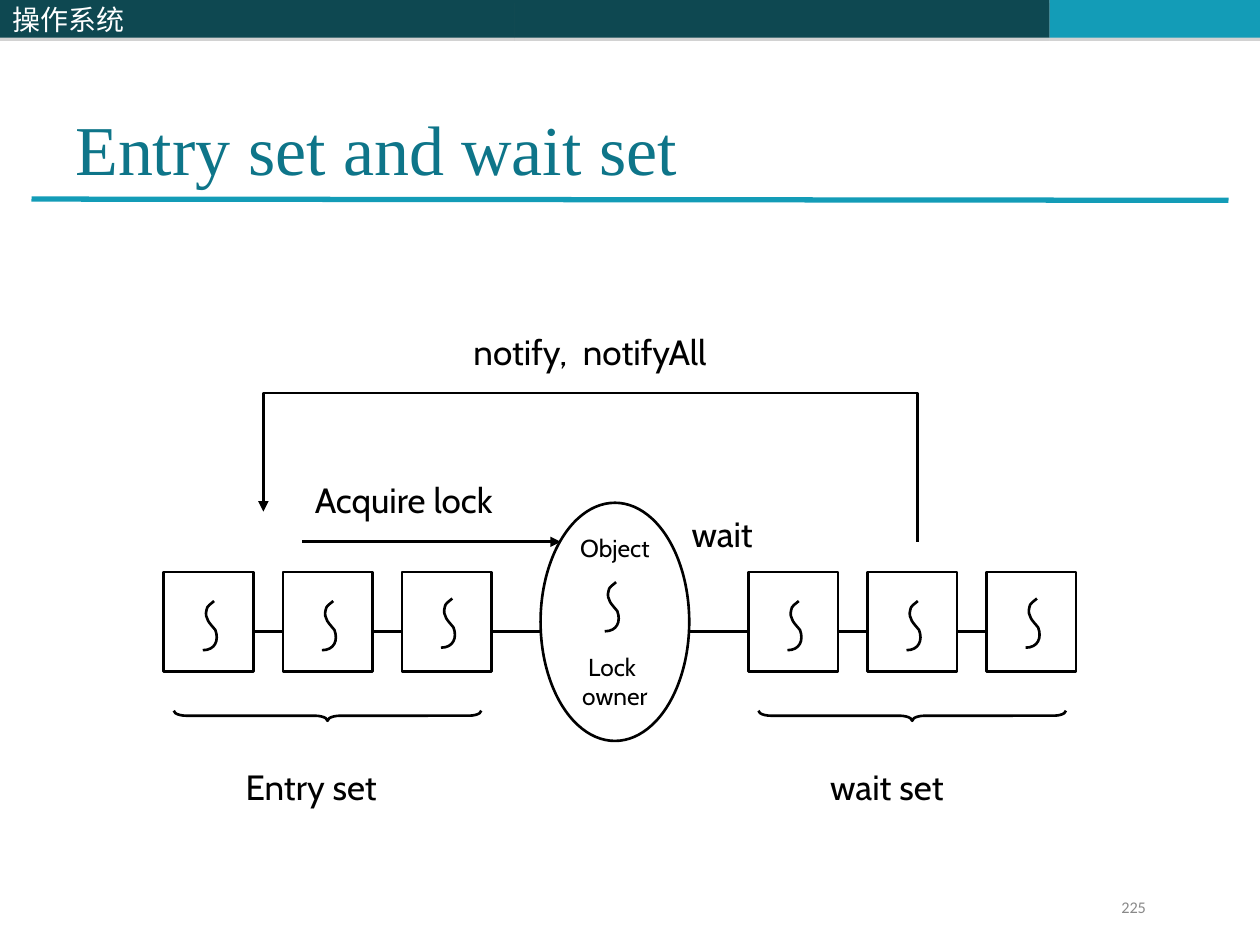
from lxml import etree
from pptx import Presentation
from pptx.dml.color import RGBColor
from pptx.enum.shapes import MSO_CONNECTOR, MSO_SHAPE
from pptx.enum.text import MSO_ANCHOR, PP_ALIGN
from pptx.oxml.ns import qn
from pptx.util import Emu, Inches, Pt

RECT, OVAL, BRACE = MSO_SHAPE.RECTANGLE, MSO_SHAPE.OVAL, MSO_SHAPE.LEFT_BRACE
STRAIGHT = MSO_CONNECTOR.STRAIGHT
TOP, MIDDLE, BOTTOM = MSO_ANCHOR.TOP, MSO_ANCHOR.MIDDLE, MSO_ANCHOR.BOTTOM
LEFT, CENTER = PP_ALIGN.LEFT, PP_ALIGN.CENTER

BLACK = RGBColor(0, 0, 0)
WHITE = RGBColor(0xFF, 0xFF, 0xFF)
DARK_TEAL = RGBColor(0x0E, 0x48, 0x51)
BRIGHT_TEAL = RGBColor(0x13, 0x9C, 0xB7)
TITLE_TEAL = RGBColor(0x0E, 0x75, 0x89)
PAGE_GREY = RGBColor(0x89, 0x89, 0x89)

# Content: lengths in inches
COURSE = "操作系统"
TITLE = "Entry set and wait set"
PAGE = "225"
OWNER_LINES = [("Object", 0), ("Lock ", 51), ("owner", 0)]  # text, points before
THREAD_SETS = [("Entry set", 1.3), ("wait set", 5.94)]      # label, left edge
ACTIONS = [
    ("wait", 5.39, 4.02, 0.87),
    ("Acquire lock", 2.4, 3.75, 2.2),
    ("notify,  notifyAll", 3.66, 2.57, 2.6),
]
HEADER = [(4.08, 4.25, DARK_TEAL), (8.33, 1.67, BRIGHT_TEAL), (0, 4.08, DARK_TEAL)]
NOTIFY_PATH = [(7.28, 4.3), (7.28, 3.12), (2.09, 3.12), (2.09, 4.06)]

# Thread mark: start point, then three points for each cubic curve
THREAD_PATH = [
    (0.09, 0),
    (0.07, 0.02), (0.03, 0.04), (0.03, 0.07),
    (0.01, 0.14), (0.06, 0.18), (0.1, 0.23),
    (0.13, 0.31), (0.1, 0.39), (0, 0.39),
]

# Grid of each thread set
BOX_COUNT, BOX_W, BOX_H, BOX_TOP = 3, 0.71, 0.79, 4.54
BOX_PITCH = (3.19 - 1.3) / (BOX_COUNT - 1)
SET_W = BOX_PITCH * (BOX_COUNT - 1) + BOX_W
LINK_Y = 5.01
BRACE_LENGTH, BRACE_DEPTH, BRACE_Y = 2.44, 0.08, 5.68
OWNER_LEFT, OWNER_TOP, OWNER_W, OWNER_H = 4.29, 3.99, 1.18, 1.89

prs = Presentation()
prs.slide_width, prs.slide_height = Inches(10), Inches(7.5)
slide = prs.slides.add_slide(prs.slide_layouts[6])
shapes = slide.shapes


def add_run(paragraph, text, size, font_name, color):
    run = paragraph.add_run()
    run.text = text
    run.font.size, run.font.name = Pt(size), font_name
    run.font.color.rgb = color
    east_asian = etree.SubElement(run.font._element, qn("a:ea"))
    east_asian.set("typeface", font_name)


def set_frame(frame, anchor, wrap=True):
    frame.word_wrap, frame.vertical_anchor = wrap, anchor
    return frame


def add_label(text, x, y, w, h=0.44, size=20, font_name="Cabin", color=BLACK, anchor=TOP):
    frame = set_frame(shapes.add_textbox(Inches(x), Inches(y), Inches(w), Inches(h)).text_frame, anchor)
    add_run(frame.paragraphs[0], text, size, font_name, color)
    return frame


def add_block(preset, x, y, w, h, fill=WHITE, outline=BLACK):
    block = shapes.add_shape(preset, Inches(x), Inches(y), Inches(w), Inches(h))
    block.shadow.inherit = False
    if fill is None:
        block.fill.background()
    else:
        block.fill.solid()
        block.fill.fore_color.rgb = fill
    if outline is None:
        block.line.fill.background()
    else:
        block.line.color.rgb, block.line.width = outline, Pt(1.5)
    return block


def add_arrowhead(shape):
    etree.SubElement(shape.line._get_or_add_ln(), qn("a:tailEnd")).set("type", "triangle")


def add_line(x1, y1, x2, y2, color=BLACK, width=1.5):
    line = shapes.add_connector(STRAIGHT, Inches(x1), Inches(y1), Inches(x2), Inches(y2))
    line.line.color.rgb, line.line.width = color, Pt(width)
    etree.SubElement(line._element.spPr, qn("a:effectLst"))
    return line


def add_open_path(points):
    (start_x, start_y), *rest = [(Inches(x), Inches(y)) for x, y in points]
    builder = shapes.build_freeform(start_x, start_y)
    builder.add_line_segments(rest, close=False)
    outline = builder.convert_to_shape(Emu(0), Emu(0))
    outline.shadow.inherit = False
    outline.fill.background()
    outline.line.color.rgb, outline.line.width = BLACK, Pt(1.5)
    return outline


def add_thread(x, y):
    thread = add_open_path([(x + px, y + py) for px, py in THREAD_PATH])
    # Join every three segments into one cubic curve
    segments = list(thread._element.iter(qn("a:lnTo")))
    outline_path = segments[0].getparent()
    for first in range(0, len(segments), 3):
        curve = etree.SubElement(outline_path, qn("a:cubicBezTo"))
        for segment in segments[first:first + 3]:
            curve.append(segment[0])
            outline_path.remove(segment)


# Header strip with a thin shadow below
for left, width, color in HEADER:
    strip = add_block(RECT, left, 0, width, 0.3, color, None)
    effects = strip._element.spPr.find(qn("a:effectLst"))
    shadow = etree.SubElement(effects, qn("a:outerShdw"), dist=str(Pt(1.8)), dir="5400000")
    shade = etree.SubElement(shadow, qn("a:srgbClr"), val="808080")
    etree.SubElement(shade, qn("a:alpha"), val="35000")
course_frame = set_frame(strip.text_frame, MIDDLE)
course_frame.paragraphs[0].alignment = LEFT
add_run(course_frame.paragraphs[0], COURSE, 16, "Noto Sans CJK SC", WHITE)

# Title and rule
add_line(0.25, 1.58, 9.75, 1.59, BRIGHT_TEAL, 3)
add_label(TITLE, 0.5, 0.3, 9, 1.25, 40, "Times New Roman", TITLE_TEAL, BOTTOM)

# Lock owner
owner = add_block(OVAL, OWNER_LEFT, OWNER_TOP, OWNER_W, OWNER_H)
owner_frame = set_frame(owner.text_frame, MIDDLE, wrap=False)
for index, (text, gap) in enumerate(OWNER_LINES):
    paragraph = owner_frame.add_paragraph() if index else owner_frame.paragraphs[0]
    paragraph.alignment = CENTER
    if gap:
        paragraph.space_before = Pt(gap)
    add_run(paragraph, text, 14, "Cabin", BLACK)
add_thread(4.8, 4.62)

# Thread sets: linked boxes, brace and label
for label, set_left in THREAD_SETS:
    for index in range(BOX_COUNT):
        box_left = set_left + index * BOX_PITCH
        last = index == BOX_COUNT - 1
        add_block(RECT, box_left, BOX_TOP, BOX_W, BOX_H)
        add_thread(box_left + 0.31, 4.75 if last else 4.77)
        if not last:
            add_line(box_left + BOX_W, LINK_Y, box_left + BOX_PITCH, LINK_Y)
    brace_center = set_left + 1.3
    brace = add_block(BRACE, brace_center - BRACE_DEPTH / 2, BRACE_Y - BRACE_LENGTH / 2,
                      BRACE_DEPTH, BRACE_LENGTH, None)
    brace.rotation = 270
    brace.adjustments[0] = 1.25
    add_label(label, set_left + 0.55, 6.03, 1.49)

# Links from the sets to the owner
entry_left, wait_left = (left for _, left in THREAD_SETS)
add_line(entry_left + SET_W, LINK_Y, OWNER_LEFT, LINK_Y)
add_line(OWNER_LEFT + OWNER_W, LINK_Y, wait_left, LINK_Y)

# Actions and their arrows
add_arrowhead(add_line(2.4, 4.3, 4.45, 4.3))
add_arrowhead(add_open_path(NOTIFY_PATH))
for action in ACTIONS:
    add_label(*action)

# Page number
page_frame = add_label(PAGE, 7.5, 7.1, 2.33, 0.27, 9.3, "Calibri", PAGE_GREY)
page_frame.margin_left = Inches(1.4)
page_frame.paragraphs[0].line_spacing = 0.8

prs.save("out.pptx")
